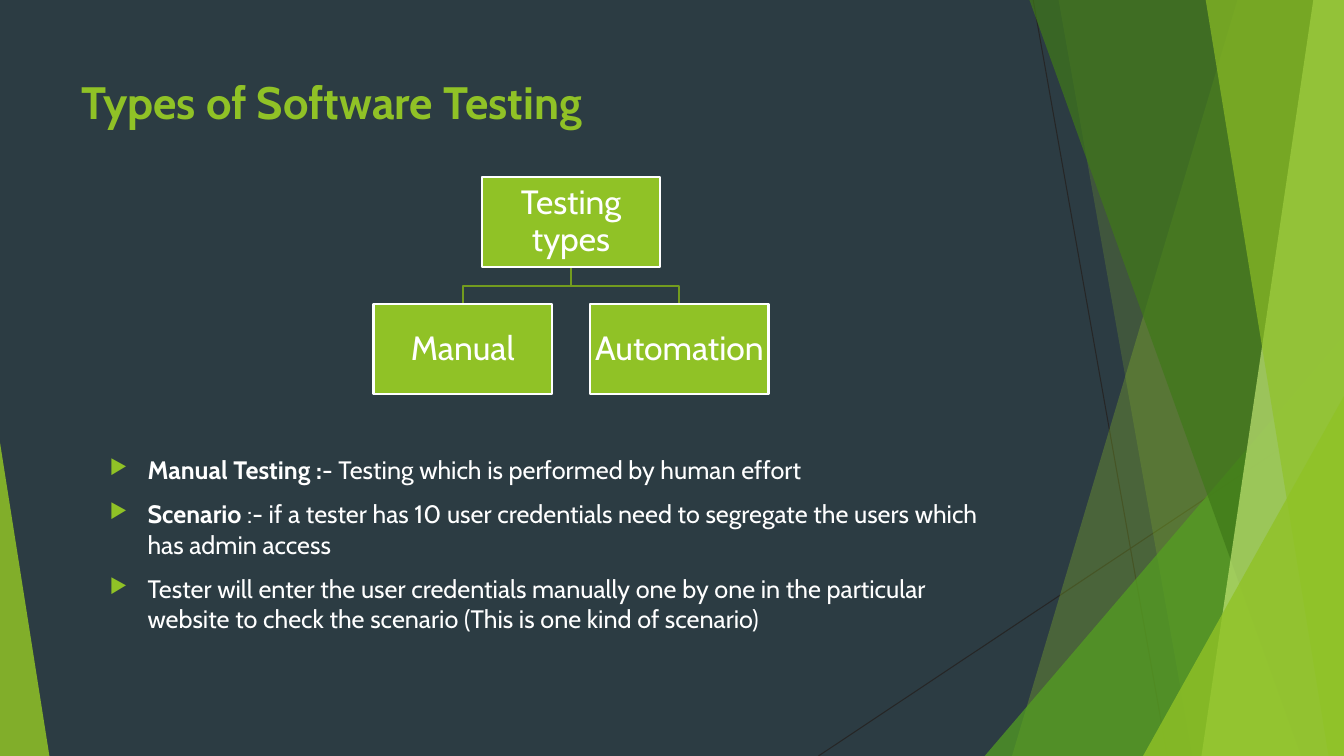
from dataclasses import dataclass

from lxml import etree
from pptx import Presentation
from pptx.dml.color import RGBColor
from pptx.enum.shapes import MSO_CONNECTOR, MSO_SHAPE
from pptx.enum.text import MSO_ANCHOR, PP_ALIGN
from pptx.oxml.ns import qn
from pptx.util import Pt

STRAIGHT = MSO_CONNECTOR.STRAIGHT
RECTANGLE = MSO_SHAPE.RECTANGLE
TRIANGLE = MSO_SHAPE.ISOSCELES_TRIANGLE
MIDDLE = MSO_ANCHOR.MIDDLE
CENTER = PP_ALIGN.CENTER

WIDTH, HEIGHT = 960, 540
BOX_WIDTH, BOX_HEIGHT = 127.4, 64
ROOT_CENTER, ROOT_TOP = 407.9, 126.7
CHILD_OFFSET, CHILD_TOP = 77.4, 217.4


@dataclass(frozen=True)
class Theme:
    """Colours, font and type sizes of the slide."""
    background: str = "2C3C43"
    green: str = "90C226"
    leaf: str = "54A021"
    forest: str = "3F7819"
    lime: str = "C0E474"
    branch: str = "739B1E"
    hairline: str = "262626"
    white: str = "FFFFFF"
    font: str = "Cabin"
    title_size: float = 32.4
    box_size: float = 24
    body_size: float = 18


class SlideBuilder:
    """Draws styled elements on one slide."""

    def __init__(self, slide, theme):
        self.slide = slide
        self.shapes = slide.shapes
        self.theme = theme
        fill = slide.background.fill
        fill.solid()
        fill.fore_color.rgb = RGBColor.from_string(theme.background)

    def paint(self, shape, color, opacity=100):
        """Fill a shape without outline or shadow."""
        shape.shadow.inherit = False
        shape.fill.solid()
        shape.fill.fore_color.rgb = RGBColor.from_string(color)
        shape.line.fill.background()
        if opacity < 100:
            srgb = shape.fill._xPr.find(qn("a:solidFill")).find(qn("a:srgbClr"))
            etree.SubElement(srgb, qn("a:alpha"), val=str(opacity * 1000))

    def outline(self, shape, color, width):
        """Give a shape or connector a solid line."""
        shape.line.color.rgb = RGBColor.from_string(color)
        shape.line.width = Pt(width)

    def style(self, paragraph, size, color):
        """Set the font of a whole paragraph."""
        font = paragraph.font
        font.name = self.theme.font
        font.size = Pt(size)
        font.color.rgb = RGBColor.from_string(color)

    def hairline(self, start, end):
        """Draw a thin straight line."""
        points = [Pt(value) for value in (*start, *end)]
        connector = self.shapes.add_connector(STRAIGHT, *points)
        self.outline(connector, self.theme.hairline, 0.75)
        etree.SubElement(connector._element.spPr, qn("a:effectLst"))

    def polyline(self, points, close):
        """Build a freeform through the given points."""
        vertices = [(Pt(x), Pt(y)) for x, y in points]
        builder = self.shapes.build_freeform(*vertices[0])
        builder.add_line_segments(vertices[1:], close=close)
        return builder.convert_to_shape()

    def band(self, top_left, bottom_left, color, opacity):
        """Draw a slanted band that reaches the right edge."""
        corners = [(top_left, -0.7), (WIDTH, -0.7), (WIDTH, HEIGHT), (bottom_left, HEIGHT)]
        self.paint(self.polyline(corners, True), color, opacity)

    def triangle(self, left, top, right, apex, color, opacity):
        """Draw a right triangle standing on the bottom edge."""
        shape = self.shapes.add_shape(
            TRIANGLE, Pt(left), Pt(top), Pt(right - left), Pt(HEIGHT - top))
        shape.adjustments[0] = apex
        self.paint(shape, color, opacity)

    def branch(self, child_center):
        """Link the root box to a child with a bent line."""
        start = ROOT_TOP + BOX_HEIGHT
        bend = (start + CHILD_TOP) / 2
        shape = self.polyline([(ROOT_CENTER, start), (ROOT_CENTER, bend),
                               (child_center, bend), (child_center, CHILD_TOP)], False)
        shape.shadow.inherit = False
        shape.fill.background()
        self.outline(shape, self.theme.branch, 1.5)

    def box(self, center, top, text):
        """Draw a labelled box of the hierarchy."""
        shape = self.shapes.add_shape(
            RECTANGLE, Pt(center - BOX_WIDTH / 2), Pt(top), Pt(BOX_WIDTH), Pt(BOX_HEIGHT))
        self.paint(shape, self.theme.green)
        self.outline(shape, self.theme.white, 1.5)
        frame = shape.text_frame
        frame.word_wrap = True
        frame.vertical_anchor = MIDDLE
        frame.margin_left = frame.margin_right = Pt(1.2)
        frame.margin_top = frame.margin_bottom = Pt(1.2)
        paragraph = frame.paragraphs[0]
        paragraph.text = text
        paragraph.alignment = CENTER
        paragraph.line_spacing = 0.9
        self.style(paragraph, self.theme.box_size, self.theme.white)

    def text_frame(self, left, top, width, height):
        """Add a wrapping text box and return its frame."""
        frame = self.shapes.add_textbox(Pt(left), Pt(top), Pt(width), Pt(height)).text_frame
        frame.word_wrap = True
        return frame

    def title(self, text):
        """Write the slide title."""
        frame = self.text_frame(51.1, 48.2, 676.8, 49)
        frame.vertical_anchor = MIDDLE
        paragraph = frame.paragraphs[0]
        paragraph.text = text
        self.style(paragraph, self.theme.title_size, self.theme.green)
        paragraph.font.bold = True

    def bullets(self, items):
        """Write bulleted paragraphs with a bold lead."""
        frame = self.text_frame(71.3, 321.1, 644.4, 151.9)
        for index, (lead, rest) in enumerate(items):
            paragraph = frame.add_paragraph() if index else frame.paragraphs[0]
            paragraph.space_before = Pt(10)
            properties = paragraph._p.get_or_add_pPr()
            properties.set("marL", str(Pt(27)))
            properties.set("indent", str(Pt(-27)))
            color = etree.SubElement(properties, qn("a:buClr"))
            etree.SubElement(color, qn("a:srgbClr"), val=self.theme.green)
            etree.SubElement(properties, qn("a:buSzPct"), val="80000")
            etree.SubElement(properties, qn("a:buChar"), char="▶")
            self.style(paragraph, self.theme.body_size, self.theme.white)
            if lead:
                run = paragraph.add_run()
                run.text = lead
                run.font.bold = True
            paragraph.add_run().text = rest


def main():
    """Build and save the slide."""
    presentation = Presentation()
    presentation.slide_width, presentation.slide_height = Pt(WIDTH), Pt(HEIGHT)
    theme = Theme()
    builder = SlideBuilder(presentation.slides.add_slide(presentation.slide_layouts[6]), theme)

    builder.hairline((738, 0), (833.8, HEIGHT))
    builder.hairline((WIDTH, 290.2), (584.6, HEIGHT))
    builder.band(884.2, 722.9, theme.green, 30)
    builder.band(756, 851.8, theme.green, 20)
    builder.triangle(703.4, 239.8, WIDTH, 1, theme.leaf, 72)
    builder.band(735.1, 929.5, theme.forest, 70)
    builder.band(938.2, 858.2, theme.lime, 70)
    builder.band(861.1, 949, theme.green, 65)
    builder.triangle(816.5, 283, WIDTH, 1, theme.green, 80)
    builder.triangle(0, 316.1, 35.3, 0, theme.green, 85)

    builder.title("Types of Software Testing")
    builder.bullets([
        ("Manual Testing :", "- Testing which is performed by human effort"),
        ("Scenario", " :- if a tester has 10 user credentials need to segregate "
                     "the users which has admin access"),
        ("", "Tester will enter the user credentials manually one by one in the particular "
             "website to check the scenario (This is one kind of scenario)"),
    ])

    children = {"Manual": ROOT_CENTER - CHILD_OFFSET, "Automation": ROOT_CENTER + CHILD_OFFSET}
    for center in children.values():
        builder.branch(center)
    builder.box(ROOT_CENTER, ROOT_TOP, "Testing types")
    for label, center in children.items():
        builder.box(center, CHILD_TOP, label)

    presentation.save("out.pptx")


if __name__ == "__main__":
    main()
